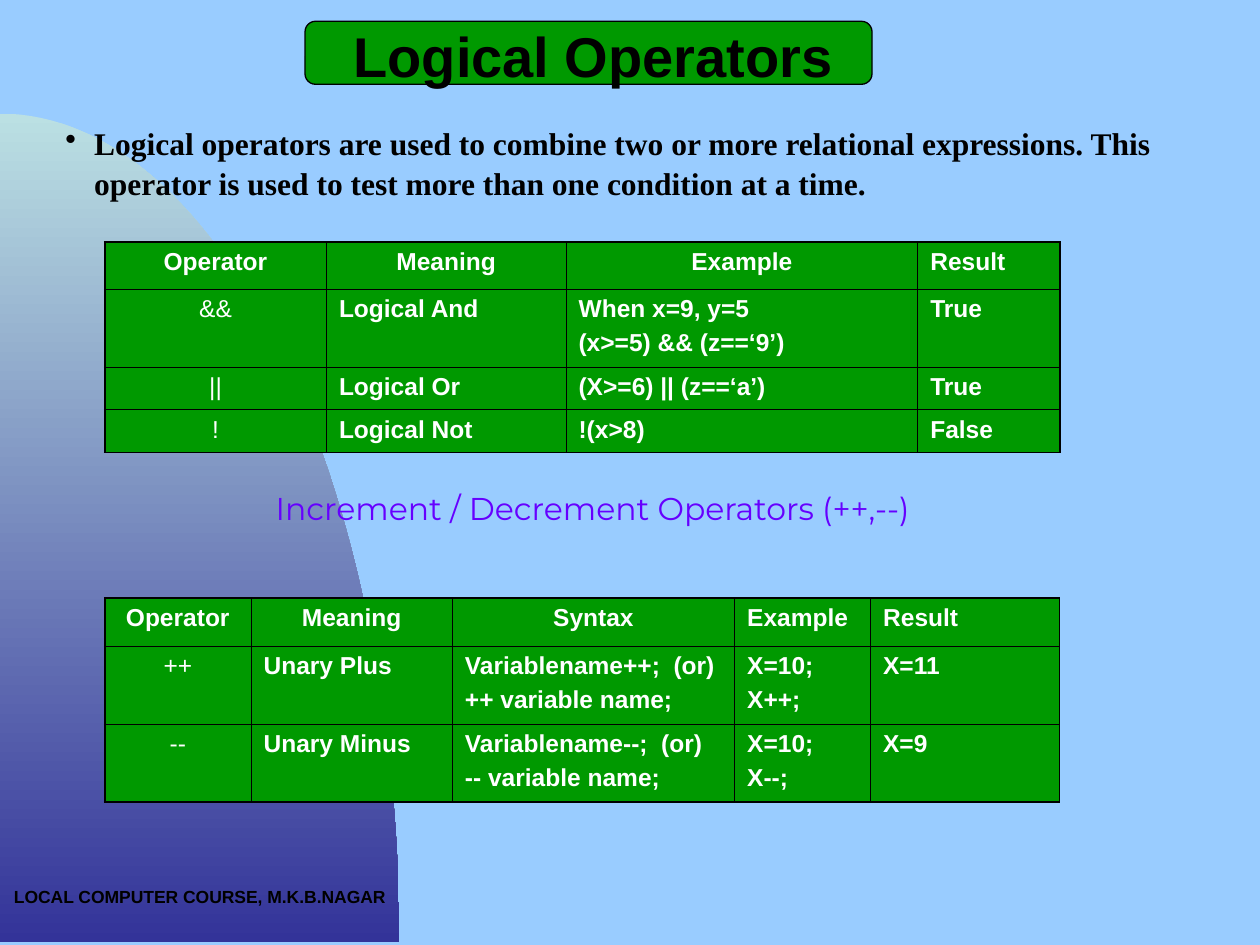
import math
from dataclasses import dataclass

import pptx
import pptx.dml.color
import pptx.enum.shapes
import pptx.enum.text
import pptx.oxml
import pptx.oxml.ns
import pptx.util

Cm = pptx.util.Cm
Pt = pptx.util.Pt
Align = pptx.enum.text.PP_ALIGN


@dataclass(frozen=True)
class Theme:
    sky: str = "99CCFF"
    green: str = "009900"
    black: str = "000000"
    white: str = "FFFFFF"
    violet: str = "6600FF"
    arc_top: str = "BBE0E3"
    arc_bottom: str = "333399"
    sans: str = "Arial"
    serif: str = "Times New Roman"
    display: str = "Montserrat"
    title_size: float = 32
    body_size: float = 18
    cell_size: float = 14
    footer_size: float = 10
    outer_border: float = 1.08
    inner_border: float = 0.45


THEME = Theme()

LOGICAL_ROWS = [
    ["Operator", "Meaning", "Example", "Result"],
    ["&&", "Logical And", "When x=9, y=5\n(x>=5) && (z==‘9’)", "True"],
    ["||", "Logical Or", "(X>=6) || (z==‘a’)", "True"],
    ["!", "Logical Not", "!(x>8)", "False"],
]
STEP_ROWS = [
    ["Operator", "Meaning", "Syntax", "Example", "Result"],
    ["++", "Unary Plus", "Variablename++;  (or)\n++ variable name;", "X=10;\nX++;", "X=11"],
    ["--", "Unary Minus", "Variablename--;  (or)\n-- variable name;", "X=10;\nX--;", "X=9"],
]


def rgb(value):
    return pptx.dml.color.RGBColor.from_string(value)


def paint(fill, color):
    fill.solid()
    fill.fore_color.rgb = rgb(color)


def style_paragraph(paragraph, font, size, color, bold, align):
    paragraph.alignment = align
    for run in paragraph.runs:
        run.font.name = font
        run.font.size = Pt(size)
        run.font.bold = bold
        run.font.color.rgb = rgb(color)


def add_arc(slide, left, top, width, height, steps=60):
    angles = [math.pi / 2 * step / steps for step in range(steps + 1)]
    bottom = top + height
    curve = [(Cm(left + width * math.sin(a)), Cm(bottom - height * math.cos(a))) for a in angles]
    outline = slide.shapes.build_freeform(*curve[0])
    outline.add_line_segments(curve[1:] + [(Cm(left), Cm(bottom))], close=True)
    arc = outline.convert_to_shape()
    arc.shadow.inherit = False
    arc.line.fill.background()
    arc.fill.gradient()
    arc.fill.gradient_angle = 270
    for stop, color, position in zip(arc.fill.gradient_stops, (THEME.arc_top, THEME.arc_bottom), (0, 1)):
        stop.color.rgb = rgb(color)
        stop.position = position


def add_title(slide, text):
    pill = slide.shapes.add_shape(
        pptx.enum.shapes.MSO_SHAPE.FLOWCHART_ALTERNATE_PROCESS, Cm(6.15), Cm(0.43), Cm(11.43), Cm(1.27)
    )
    pill.shadow.inherit = False
    paint(pill.fill, THEME.green)
    pill.line.color.rgb = rgb(THEME.black)
    pill.line.width = Pt(0.75)
    title = slide.shapes.title
    title.left, title.top, title.width, title.height = Cm(6.35), Cm(0.3), Cm(11.23), Cm(1.62)
    pill.element.addnext(title.element)
    frame = title.text_frame
    frame.text = text
    frame.auto_size = pptx.enum.text.MSO_AUTO_SIZE.NONE
    frame.vertical_anchor = pptx.enum.text.MSO_ANCHOR.TOP
    style_paragraph(frame.paragraphs[0], THEME.sans, THEME.title_size, THEME.black, True, Align.CENTER)


def add_text(slide, box, text, font, size, color, bold, align, wrap=True):
    frame = slide.shapes.add_textbox(*map(Cm, box)).text_frame
    frame.word_wrap = wrap
    frame.text = text
    style_paragraph(frame.paragraphs[0], font, size, color, bold, align)
    return frame.paragraphs[0]


def add_bullet(paragraph, hang):
    properties = paragraph._p.get_or_add_pPr()
    properties.set("marL", str(Cm(hang)))
    properties.set("indent", str(-Cm(hang)))
    bullet = pptx.oxml.parse_xml(f'<a:buChar {pptx.oxml.ns.nsdecls("a")} char="•"/>')
    properties.append(bullet)


def set_borders(cell, widths):
    properties = cell._tc.get_or_add_tcPr()
    for position, (side, width) in enumerate(widths.items()):
        border = pptx.oxml.parse_xml(
            f'<a:{side} {pptx.oxml.ns.nsdecls("a")} w="{Pt(width)}"><a:solidFill>'
            f'<a:srgbClr val="{THEME.black}"/></a:solidFill></a:{side}>'
        )
        properties.insert(position, border)


def fill_cell(cell, text, centred, bold):
    paint(cell.fill, THEME.green)
    cell.text_frame.text = text
    align = Align.CENTER if centred else Align.LEFT
    for index, paragraph in enumerate(cell.text_frame.paragraphs):
        style_paragraph(paragraph, THEME.sans, THEME.cell_size, THEME.white, bold, align)
        if index:
            paragraph.space_before = Pt(3.5)


def add_operator_table(slide, top, widths, heights, rows):
    table = slide.shapes.add_table(
        len(rows), len(widths), Cm(2.11), Cm(top), Cm(sum(widths)), Cm(sum(heights))
    ).table
    for column, width in zip(table.columns, widths):
        column.width = Cm(width)
    for row, height in zip(table.rows, heights):
        row.height = Cm(height)
    last_row, last_column = len(rows) - 1, len(widths) - 1
    for r, values in enumerate(rows):
        for c, text in enumerate(values):
            cell = table.cell(r, c)
            fill_cell(cell, text, centred=c == 0 or (r == 0 and c < 3), bold=r == 0 or c > 0)
            on_edge = {"lnL": c == 0, "lnR": c == last_column, "lnT": r == 0, "lnB": r == last_row}
            set_borders(cell, {
                side: THEME.outer_border if edge else THEME.inner_border for side, edge in on_edge.items()
            })


def main():
    deck = pptx.Presentation()
    deck.slide_width, deck.slide_height = Cm(25.4), Cm(19.05)
    slide = deck.slides.add_slide(deck.slide_layouts[5])
    paint(slide.background.fill, THEME.sky)
    add_arc(slide, 0, 2.29, 8.05, 16.71)
    add_text(slide, (0, 17.73, 8.05, 1.32), "LOCAL COMPUTER COURSE, M.K.B.NAGAR",
             THEME.sans, THEME.footer_size, THEME.black, True, Align.CENTER)
    add_title(slide, "Logical Operators")
    add_operator_table(slide, 4.88, [4.47, 4.83, 7.09, 2.87], [0.95, 1.57, 0.86, 0.86], LOGICAL_ROWS)
    definition = add_text(
        slide, (1.07, 2.34, 23.29, 1.78),
        "Logical operators are used to combine two or more relational expressions. "
        "This operator is used to test more than one condition at a time.",
        THEME.serif, THEME.body_size, THEME.black, True, Align.LEFT)
    definition.line_spacing = 1.05
    add_bullet(definition, 0.58)
    add_text(slide, (1.47, 9.73, 20.96, 1.45), "Increment / Decrement Operators (++,--)",
             THEME.display, THEME.body_size, THEME.violet, False, Align.CENTER, wrap=False)
    add_operator_table(slide, 12.06, [2.95, 4.06, 5.69, 2.74, 3.81], [0.97, 1.57, 1.57], STEP_ROWS)
    deck.save("out.pptx")


if __name__ == "__main__":
    main()
